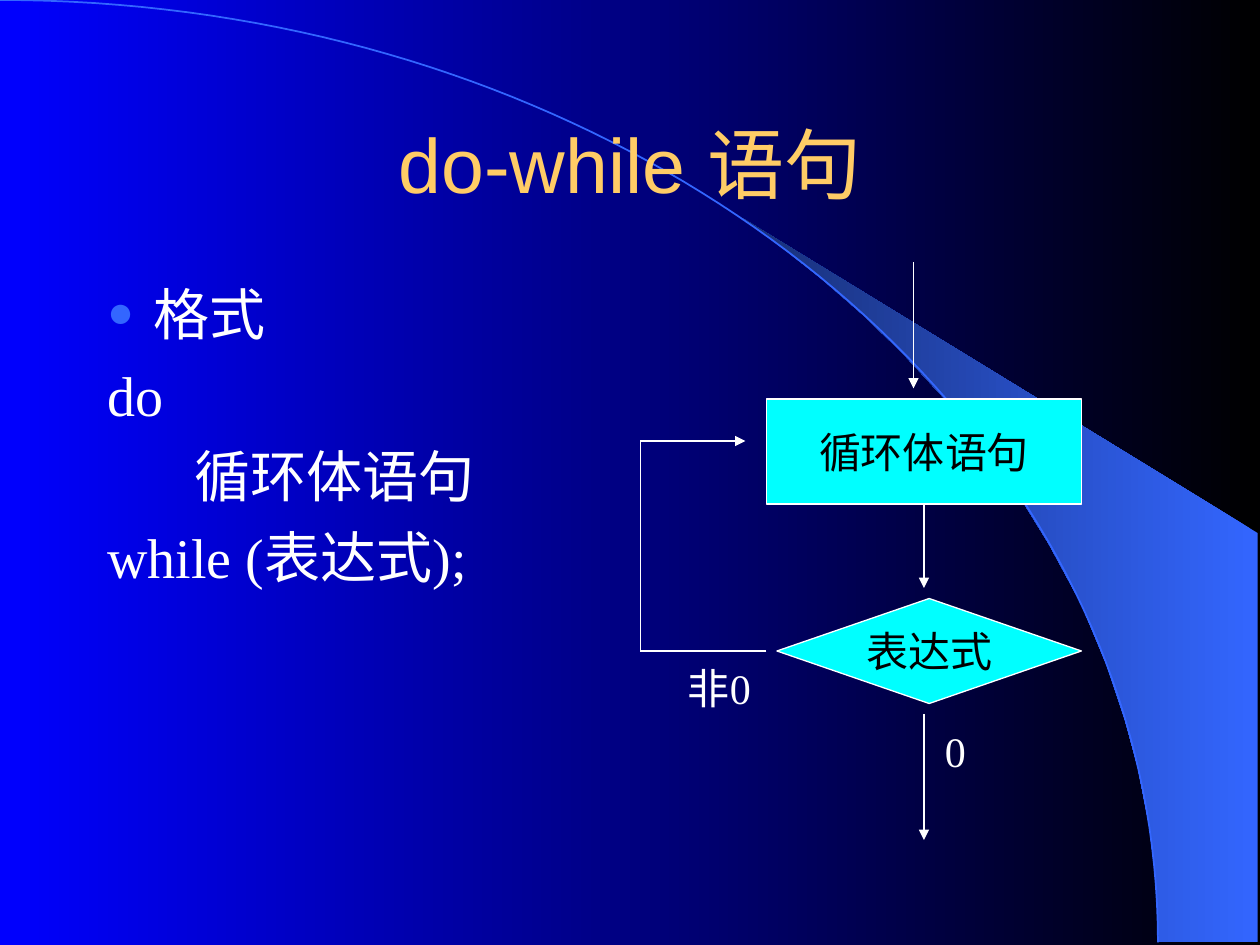
from typing import NamedTuple

from lxml import etree
from pptx import Presentation
from pptx.dml.color import RGBColor
from pptx.enum.shapes import MSO_CONNECTOR, MSO_SHAPE
from pptx.enum.text import MSO_ANCHOR, MSO_AUTO_SIZE, PP_ALIGN
from pptx.oxml.ns import qn
from pptx.util import Pt

STRAIGHT = MSO_CONNECTOR.STRAIGHT
PROCESS = MSO_SHAPE.FLOWCHART_PROCESS
DECISION = MSO_SHAPE.FLOWCHART_DECISION
MIDDLE, TOP = MSO_ANCHOR.MIDDLE, MSO_ANCHOR.TOP
CENTER, LEFT = PP_ALIGN.CENTER, PP_ALIGN.LEFT
FIXED_SIZE = MSO_AUTO_SIZE.NONE

BLACK = RGBColor(0, 0, 0)
WHITE = RGBColor(255, 255, 255)
BLUE = RGBColor(0, 0, 255)
SKY = RGBColor(0x33, 0x66, 0xFF)
NAVY = RGBColor(0x18, 0x2F, 0x76)
CYAN = RGBColor(0, 255, 255)
GOLD = RGBColor(0xFF, 0xCC, 0x66)

SANS, SERIF = "Arial", "Times New Roman"
HANGING = 26.64
ARC = ((0, 0), (365.76, 0), (661.68, 241.2), (661.68, 538.56))
ARC_STEPS = 80
SWOOSH = (
    (9.2, 7.48), (9.98, 7.48), (9.98, 4.23), (5.89, 1.73), (6.24, 1.99),
    (6.53, 2.22), (6.85, 2.5), (7.16, 2.8), (7.62, 3.3), (8.03, 3.84),
    (8.32, 4.31), (8.58, 4.79), (8.78, 5.27), (8.93, 5.72), (9.03, 6.09),
    (9.12, 6.55), (9.17, 6.96),
)


class Frame(NamedTuple):
    left: float
    top: float
    width: float
    height: float

    def lengths(self) -> list:
        return [Pt(value) for value in self]


class Step(NamedTuple):
    kind: int
    text: str
    frame: Frame


class Flow(NamedTuple):
    start: tuple
    end: tuple
    arrow: bool = True


class Label(NamedTuple):
    text: str
    frame: Frame


class Item(NamedTuple):
    text: str
    margin: float = HANGING
    indent: float = -HANGING
    bullet: bool = False


STEPS = (
    Step(PROCESS, "循环体语句", Frame(438, 228, 180, 60)),
    Step(DECISION, "表达式", Frame(444, 342, 174, 60)),
)
FLOWS = (
    Flow((522, 150), (522, 222)),
    Flow((528, 288), (528, 336)),
    Flow((438, 372), (366, 372), False),
    Flow((366, 372), (366, 252), False),
    Flow((366, 252), (426, 252)),
    Flow((528, 408), (528, 480)),
)
LABELS = (
    Label("0", Frame(532.8, 411, 26, 36)),
    Label("非0", Frame(386, 375, 56, 36)),
)
ITEMS = (
    Item("格式", bullet=True),
    Item("do"),
    Item("循环体语句", 50, 0),
    Item("while (表达式);"),
)


def fill_gradient(fill, first: RGBColor, last: RGBColor) -> None:
    fill.gradient()
    fill.gradient_angle = 180
    for stop, color, position in zip(fill.gradient_stops, (first, last), (0, 1)):
        stop.color.rgb = color
        stop.position = position


def format_text(para, font: str, size: float, color: RGBColor, align=LEFT) -> None:
    para.alignment = align
    for span in para.runs:
        span.font.name = font
        span.font.size = Pt(size)
        span.font.color.rgb = color


def draw_freeform(page, points: list, closed: bool):
    corners = [(Pt(x), Pt(y)) for x, y in points]
    builder = page.shapes.build_freeform(*corners[0])
    builder.add_line_segments(corners[1:], close=closed)
    shape = builder.convert_to_shape()
    shape.shadow.inherit = False
    return shape


def arc_point(t: float) -> tuple:
    weights = ((1 - t) ** 3, 3 * t * (1 - t) ** 2, 3 * t * t * (1 - t), t ** 3)
    return tuple(sum(w * p[axis] for w, p in zip(weights, ARC)) for axis in (0, 1))


def draw_backdrop(page) -> None:
    fill_gradient(page.background.fill, BLACK, BLUE)
    swoosh = draw_freeform(page, [(x * 72, y * 72) for x, y in SWOOSH], True)
    fill_gradient(swoosh.fill, SKY, NAVY)
    swoosh.line.fill.background()
    points = [arc_point(step / ARC_STEPS) for step in range(ARC_STEPS + 1)]
    arc = draw_freeform(page, points, False)
    arc.fill.background()
    arc.line.color.rgb = SKY
    arc.line.width = Pt(1)


def place_placeholder(shape, frame: Frame, anchor):
    shape.left, shape.top, shape.width, shape.height = frame.lengths()
    shape.element.getparent().append(shape.element)
    text_frame = shape.text_frame
    text_frame.auto_size = FIXED_SIZE
    text_frame.vertical_anchor = anchor
    return text_frame


def set_bullet(para, item: Item) -> None:
    props = para._p.get_or_add_pPr()
    props.set("marL", str(Pt(item.margin)))
    props.set("indent", str(Pt(item.indent)))
    if not item.bullet:
        etree.SubElement(props, qn("a:buNone"))
        return
    color = etree.SubElement(props, qn("a:buClr"))
    etree.SubElement(color, qn("a:srgbClr"), val=str(SKY))
    etree.SubElement(props, qn("a:buSzPct"), val="80000")
    etree.SubElement(props, qn("a:buFont"), typeface=SERIF)
    etree.SubElement(props, qn("a:buChar"), char="●")


def write_items(text_frame) -> None:
    text_frame.text = "\n".join(item.text for item in ITEMS)
    for index, (para, item) in enumerate(zip(text_frame.paragraphs, ITEMS)):
        set_bullet(para, item)
        para.space_before = Pt(8 if index else 0)
        format_text(para, SERIF, 32, WHITE)


def draw_step(page, step: Step) -> None:
    shape = page.shapes.add_shape(step.kind, *step.frame.lengths())
    shape.shadow.inherit = False
    shape.fill.solid()
    shape.fill.fore_color.rgb = CYAN
    shape.line.color.rgb = WHITE
    shape.line.width = Pt(0.75)
    shape.text_frame.text = step.text
    shape.text_frame.word_wrap = False
    shape.text_frame.vertical_anchor = MIDDLE
    format_text(shape.text_frame.paragraphs[0], SERIF, 24, BLACK, CENTER)


def draw_flow(page, flow: Flow) -> None:
    ends = [Pt(value) for value in flow.start + flow.end]
    connector = page.shapes.add_connector(STRAIGHT, *ends)
    connector.line.color.rgb = WHITE
    connector.line.width = Pt(0.75)
    if flow.arrow:
        etree.SubElement(connector.line._get_or_add_ln(), qn("a:tailEnd"), type="triangle")
    etree.SubElement(connector.element.spPr, qn("a:effectLst"))


def draw_label(page, label: Label) -> None:
    box = page.shapes.add_textbox(*label.frame.lengths())
    box.text_frame.text = label.text
    box.text_frame.word_wrap = False
    format_text(box.text_frame.paragraphs[0], SERIF, 24, WHITE)


def main() -> None:
    deck = Presentation()
    deck.slide_width, deck.slide_height = Pt(720), Pt(540)
    page = deck.slides.add_slide(deck.slide_layouts[1])
    draw_backdrop(page)
    title = place_placeholder(page.shapes.title, Frame(54, 48, 612, 90), MIDDLE)
    title.text = "do-while 语句"
    format_text(title.paragraphs[0], SANS, 44, GOLD, CENTER)
    write_items(place_placeholder(page.placeholders[1], Frame(54, 156, 246, 198), TOP))
    for draw, parts in ((draw_step, STEPS), (draw_flow, FLOWS), (draw_label, LABELS)):
        for part in parts:
            draw(page, part)
    deck.save("out.pptx")


if __name__ == "__main__":
    main()
